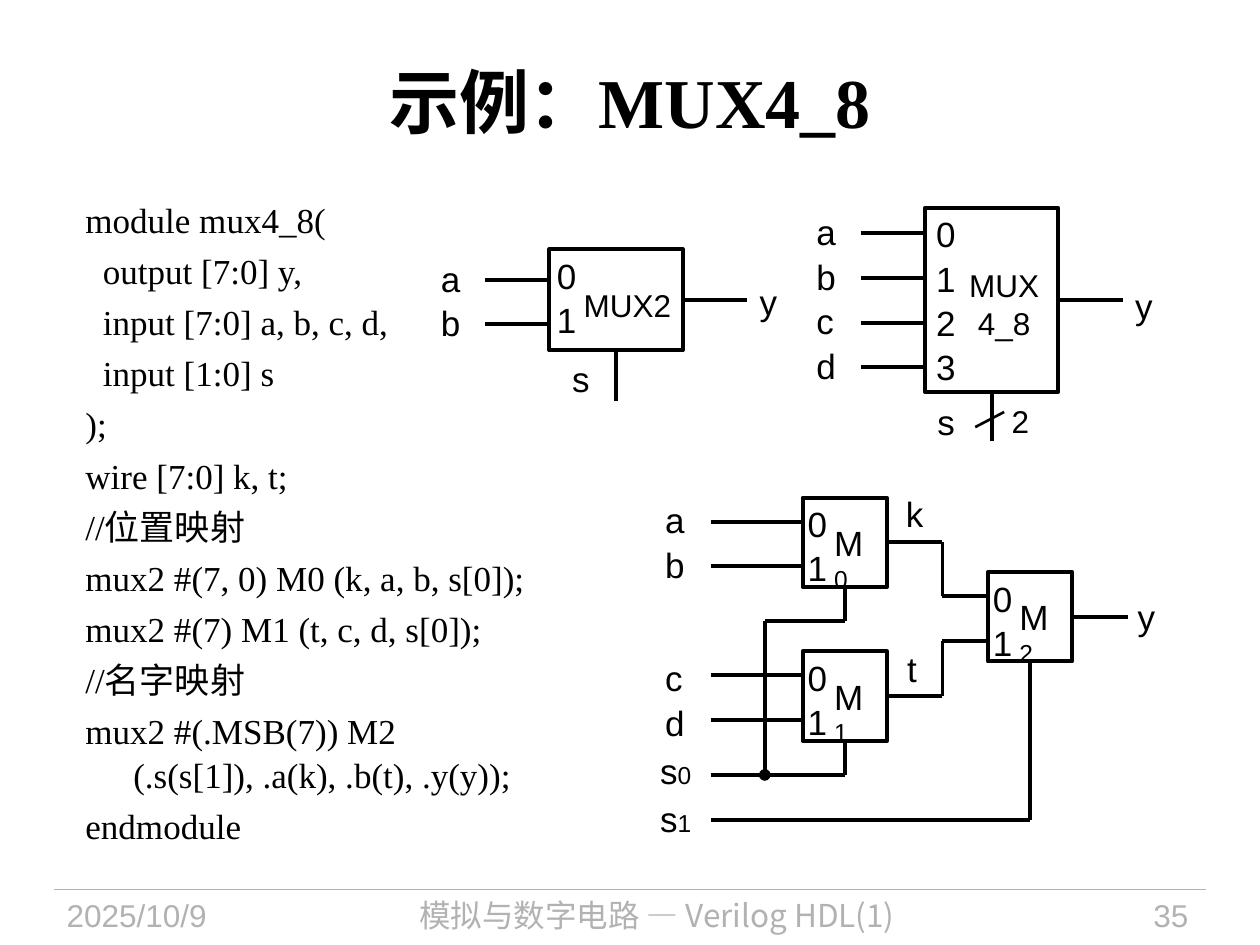
import pptx
import pptx.dml.color
import pptx.enum.shapes
import pptx.enum.text
import pptx.oxml.ns
import pptx.util
from lxml import etree
from pptx.util import Inches

BLACK, WHITE, GREY = "000000", "FFFFFF", "B2B2B2"
SANS, SERIF, CJK = "Arial", "Times New Roman", "Noto Sans CJK SC"
ALIGN = pptx.enum.text.PP_ALIGN
TOP, LEFT, BOTTOM, RIGHT = range(4)
CODE = [
    "module mux4_8(",
    "  output [7:0] y,",
    "  input [7:0] a, b, c, d,",
    "  input [1:0] s",
    ");",
    "wire [7:0] k, t;",
    "//位置映射",
    "mux2 #(7, 0) M0 (k, a, b, s[0]);",
    "mux2 #(7) M1 (t, c, d, s[0]);",
    "//名字映射",
    "mux2 #(.MSB(7)) M2\v(.s(s[1]), .a(k), .b(t), .y(y));",
    "endmodule",
]


def rgb(value):
    return pptx.dml.color.RGBColor.from_string(value)


def style_run(run, size, font=SANS, color=BLACK, bold=False):
    run.font.size = pptx.util.Pt(size)
    run.font.name = font
    run.font.bold = bold
    run.font.color.rgb = rgb(color)
    east_asian = etree.SubElement(run.font._element, pptx.oxml.ns.qn("a:ea"))
    east_asian.set("typeface", CJK)


def add_text(slide, box, lines, size, font=SANS, color=BLACK, align=ALIGN.LEFT,
             inset=True, bold=False):
    frame = slide.shapes.add_textbox(*map(Inches, box)).text_frame
    frame.word_wrap = True
    if not inset:
        frame.margin_left = frame.margin_right = 0
        frame.margin_top = frame.margin_bottom = 0
    frame.text = "\n".join(lines)
    for paragraph in frame.paragraphs:
        paragraph.alignment = align
        for run in paragraph.runs:
            style_run(run, size, font, color, bold)
    return frame


def add_label(slide, left, top, letter, subscript="", width=0.3, size=20):
    frame = add_text(slide, (left, top, width, 0.34), [letter], size, inset=False)
    if subscript:
        run = frame.paragraphs[0].add_run()
        run.text = subscript
        style_run(run, 14)


def add_wire(slide, x1, y1, x2, y2, weight=2.25, color=BLACK):
    wire = slide.shapes.add_connector(
        pptx.enum.shapes.MSO_CONNECTOR.STRAIGHT, *map(Inches, (x1, y1, x2, y2)))
    wire.line.color.rgb = rgb(color)
    wire.line.width = pptx.util.Pt(weight)
    etree.SubElement(wire._element.spPr, pptx.oxml.ns.qn("a:effectLst"))
    return wire


def add_path(slide, *points):
    for start, end in zip(points, points[1:]):
        add_wire(slide, *start, *end)


def add_mux(slide, box, pins, pin_left, first_wire, lead, out_lead, select_lead,
            inputs="", label_gap=0, label_drop=0):
    """Block with numbered inputs, an output wire and a select wire."""
    left, top, width, height = box
    middle, center = top + height / 2, left + width / 2
    block = slide.shapes.add_shape(
        pptx.enum.shapes.MSO_SHAPE.RECTANGLE, *map(Inches, box))
    block.shadow.inherit = False
    block.fill.solid()
    block.fill.fore_color.rgb = rgb(WHITE)
    block.line.color.rgb = rgb(BLACK)
    block.line.width = pptx.util.Pt(2.25)

    for pin in range(pins):
        add_label(slide, left + pin_left, top + 0.04 + pin * 0.35, str(pin))
        wire_y = top + first_wire + pin * 0.355
        add_wire(slide, left - lead, wire_y, left, wire_y)
        if inputs:
            add_label(slide, left - label_gap, wire_y - 0.18 + label_drop, inputs[pin])

    right, bottom = left + width, top + height
    output = add_wire(slide, right + out_lead, middle, right, middle)
    output.end_connect(block, RIGHT)
    select = add_wire(slide, center, bottom + select_lead, center, bottom)
    select.end_connect(block, BOTTOM)


def add_title(slide, box):
    frame = add_text(slide, box, ["示例：MUX4_8"], 40, SERIF, align=ALIGN.CENTER, bold=True)
    frame.vertical_anchor = pptx.enum.text.MSO_ANCHOR.MIDDLE


def add_code(slide, box):
    frame = add_text(slide, box, CODE, 20, SERIF)
    for paragraph in frame.paragraphs:
        properties = paragraph._p.get_or_add_pPr()
        properties.set("marL", str(Inches(0.38)))
        properties.set("indent", str(Inches(-0.38)))
        paragraph.line_spacing = 1.05
        paragraph.space_after = pptx.util.Pt(4)


def add_mux2_symbol(slide, box):
    left, top, width, height = box
    add_mux(slide, box, 2, 0.06, 0.24, 0.51, 0.51, 0.4, "ab", 0.86)
    add_text(slide, (left + 0.22, top + 0.29, 0.8, 0.3), ["MUX2"], 18,
             align=ALIGN.CENTER, inset=False)
    add_label(slide, left + 0.18, top + 0.86, "s")
    add_label(slide, left + width + 0.61, top + 0.25, "y")


def add_mux4_symbol(slide, box):
    left, top, width, height = box
    add_mux(slide, box, 4, 0.09, 0.2, 0.51, 0.51, 0.39, "abcd", 0.86)
    add_text(slide, (left + 0.3, top + 0.46, 0.66, 0.61), ["MUX", "4_8"], 18,
             align=ALIGN.CENTER, inset=False)
    add_label(slide, left + 0.1, top + 1.53, "s")
    add_label(slide, left + width + 0.61, top + 0.61, "y")
    # Two-bit bus mark on the select wire
    add_wire(slide, left + 0.63, top + 1.62, left + 0.4, top + 1.74, 1.5)
    add_label(slide, left + 0.69, top + 1.54, "2", size=18)


def add_mux_tree(slide, left, top):
    """Two-level tree; left and top are the corner of block M0."""
    width, height = 0.67, 0.71
    blocks = [  # left, top, input lead, select lead, inputs, label drop
        (left, top, 0.73, 0.27, "ab", 0),
        (left, top + 1.22, 0.73, 0.27, "cd", 0.03),
        (left + 1.47, top + 0.59, 0.36, 1.26, "", 0),
    ]
    for number, (x, y, lead, select_lead, inputs, drop) in enumerate(blocks):
        add_mux(slide, (x, y, width, height), 2, 0.04, 0.19, lead, 0.44,
                select_lead, inputs, 1.09, drop)
        add_label(slide, x + 0.25, y + 0.19, "M", str(number), width=0.33)

    # Risers from the k and t outputs to the inputs of M2
    riser = left + width + 0.44
    for (_, y, *_), wire_y in zip(blocks, (top + 0.78, top + 1.14)):
        add_wire(slide, riser, y + height / 2, riser, wire_y)

    # Select lines
    center, source, junction = left + width / 2, left - 0.73, left - 0.3
    s0_y, s1_y, branch_y = top + 2.2, top + 2.56, top + 0.98
    add_path(slide, (center, s0_y), (source, s0_y))
    branch = add_wire(slide, junction, s0_y, junction, branch_y)
    dot = etree.SubElement(branch.line._get_or_add_ln(), pptx.oxml.ns.qn("a:headEnd"))
    dot.set("type", "oval")
    add_path(slide, (junction, branch_y), (center, branch_y))
    add_path(slide, (center + 1.47, s1_y), (source, s1_y))

    # Signal names
    add_label(slide, left - 1.13, top + 2, "s", "0")
    add_label(slide, left - 1.13, top + 2.38, "s", "1")
    add_label(slide, left + 0.82, top - 0.04, "k")
    add_label(slide, left + 0.83, top + 1.19, "t")
    add_label(slide, left + 2.66, top + 0.78, "y")


def add_footer(slide, left, top, width, height):
    add_wire(slide, left, top, left + width, top, 0.75, GREY)
    add_text(slide, (left, top, 1.88, height), ["2025/10/9"], 18, color=GREY)
    add_text(slide, (left + 1.97, top, 5.63, height),
             ["模拟与数字电路 — Verilog HDL(1)"], 18, CJK, GREY, ALIGN.CENTER)
    add_text(slide, (left + 7.77, top, 1.33, height), ["35"], 18,
             color=GREY, align=ALIGN.RIGHT)


def main():
    deck = pptx.Presentation()
    deck.slide_width, deck.slide_height = Inches(10), Inches(7.5)
    slide = deck.slides.add_slide(deck.slide_layouts[6])
    add_title(slide, (0.5, 0.17, 9, 1.25))
    add_code(slide, (0.58, 1.51, 4.53, 5.39))
    add_mux4_symbol(slide, (7.34, 1.65, 1.06, 1.46))
    add_mux_tree(slide, 6.37, 3.95)
    add_mux2_symbol(slide, (4.36, 1.98, 1.06, 0.8))
    add_footer(slide, 0.43, 7.06, 9.14, 0.44)
    deck.save("out.pptx")


if __name__ == "__main__":
    main()
